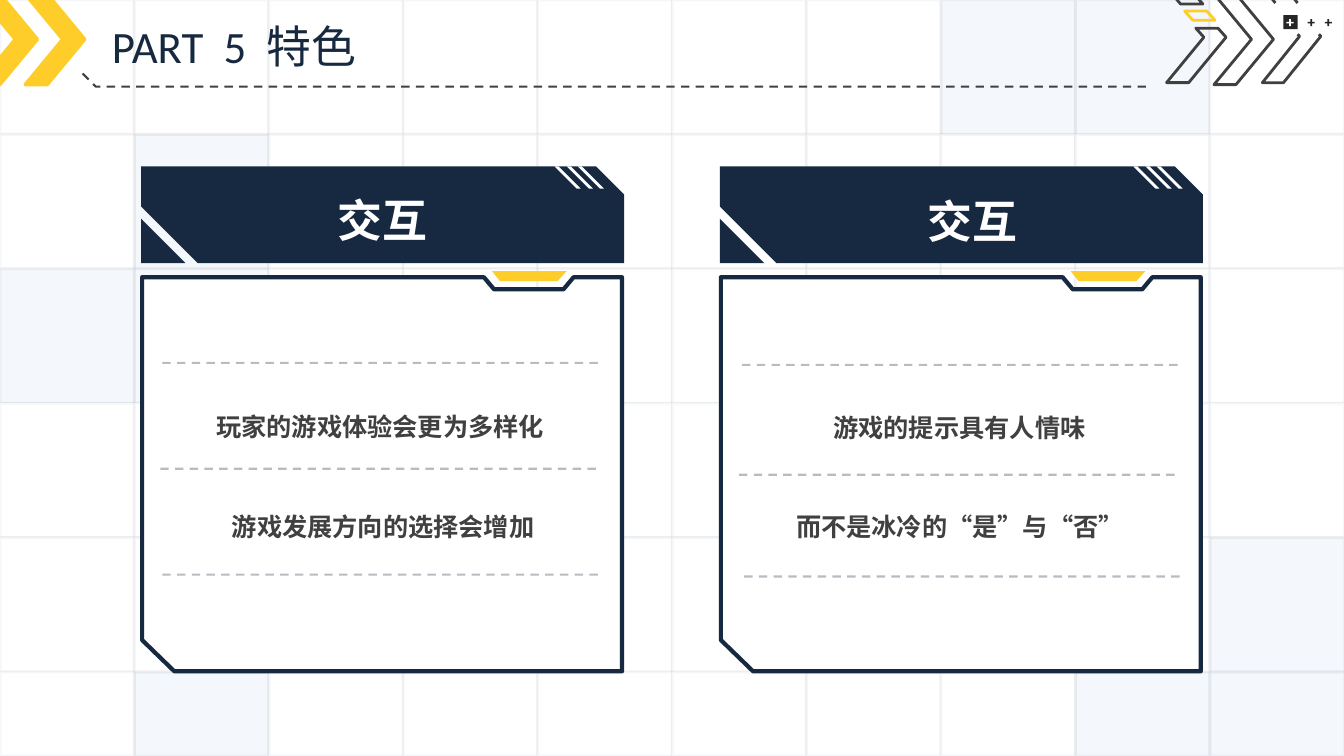
from dataclasses import dataclass

from lxml import etree
from pptx import Presentation
from pptx.dml.color import RGBColor
from pptx.enum import dml, shapes, text
from pptx.oxml import ns
from pptx.util import Inches, Pt

TITLE = "PART  5  特色"
# Each card: left edge, heading and its box, lines as (text, left, top, width), rules as (left, top)
CARDS = [
    {"left": 1.4, "heading": ("交互", 3.25, 1.86, 1.09),
     "lines": [("玩家的游戏体验会更为多样化", 1.37, 3.88, 4.8),
               ("游戏发展方向的选择会增加", 1.4, 4.87, 4.8)],
     "rules": [(1.61, 3.6), (1.59, 4.65), (1.61, 5.7)]},
    {"left": 7.14, "heading": ("交互", 9.1, 1.87, 1.09),
     "lines": [("游戏的提示具有人情味", 7.14, 3.89, 4.75),
               ("而不是冰冷的“是”与“否”", 7.12, 4.87, 4.8)],
     "rules": [(7.36, 3.62), (7.33, 4.71), (7.38, 5.72)]},
]
RULE_WIDTH = 4.36

CELL = 4 / 3
COLUMNS, ROWS = 10, 6
TINTED_CELLS = {(0, 7), (0, 8), (1, 1), (2, 0), (2, 1), (4, 9), (5, 1), (5, 8), (5, 9)}

# Card outlines, x measured from the card's left edge
BANNER = [(0, 1.65), (4.51, 1.65), (4.79, 1.93), (4.79, 2.61), (0.56, 2.61), (0, 2.05)]
CORNER = [(0, 2.17), (0.44, 2.61), (0, 2.61)]
STRIPE = [(0, 1.65), (0.04, 1.65), (0.26, 1.87), (0.22, 1.87)]
STRIPE_LEFTS = (4.1, 4.22, 4.33)
TAB = [(3.48, 2.69), (4.22, 2.69), (4.13, 2.79), (3.56, 2.79)]
FRAME = [(0.01, 2.75), (3.4, 2.75), (3.5, 2.87), (4.19, 2.87), (4.29, 2.75),
         (4.77, 2.75), (4.77, 6.66), (0.33, 6.66), (0.01, 6.35)]

# Header ornaments
TITLE_RULE = [(0.82, 0.73), (0.95, 0.86), (11.39, 0.86)]
YELLOW_CHIP = [(11.75, 0.11), (11.97, 0.11), (12.05, 0.2), (11.83, 0.2)]
GREY_CLOSED = [
    [(11.59, -0.1), (11.81, -0.1), (11.93, 0.04), (11.71, 0.04)],
    [(11.86, 0.28), (12.08, 0.28), (12.16, 0.37), (11.79, 0.82), (11.57, 0.82), (11.94, 0.37)],
]
GREY_OPEN = [
    [(12.65, 0.03), (12.53, -0.12), (12.75, -0.12), (12.87, 0.03)],
    [(13.08, 0.34), (13.1, 0.36), (12.73, 0.82), (12.52, 0.82), (12.89, 0.36), (12.87, 0.34)],
]


@dataclass(frozen=True)
class Theme:
    navy: str = "162941"
    ink: str = "16293E"
    grey: str = "404040"
    dark: str = "262626"
    yellow: str = "FECD2A"
    tint: str = "E0E9F4"
    white: str = "FFFFFF"
    title_font: str = "Calibri"
    text_font: str = "Noto Sans CJK SC"
    heading_size: int = 32
    text_size: int = 18


theme = Theme()
deck = Presentation()
deck.slide_width, deck.slide_height = Inches(13.33), Inches(7.5)
page = deck.slides.add_slide(deck.slide_layouts[5])


def set_alpha(fill, percent):
    color = fill.fore_color._xFill.find(ns.qn("a:srgbClr"))
    etree.SubElement(color, ns.qn("a:alpha")).set("val", str(percent * 1000))


def style_line(line, color, weight, alpha=None, dashed=False):
    line.width = Pt(weight)
    line.fill.solid()
    line.fill.fore_color.rgb = RGBColor.from_string(color)
    if alpha:
        set_alpha(line.fill, alpha)
    if dashed:
        line.dash_style = dml.MSO_LINE.DASH


def style(shape, fill=None, line=None, weight=2, fill_alpha=None, line_alpha=None, dashed=False):
    shape.shadow.inherit = False
    if fill:
        shape.fill.solid()
        shape.fill.fore_color.rgb = RGBColor.from_string(fill)
        if fill_alpha:
            set_alpha(shape.fill, fill_alpha)
    else:
        shape.fill.background()
    if line:
        style_line(shape.line, line, weight, line_alpha, dashed)
    else:
        shape.line.fill.background()


def add_preset(kind, left, top, width, height, adjust=None, **look):
    shape = page.shapes.add_shape(kind, Inches(left), Inches(top), Inches(width), Inches(height))
    if adjust:
        shape.adjustments[0] = adjust
    style(shape, **look)


def add_outline(contours, left=0, close=True, **look):
    """Draw one freeform from contours whose x counts from left."""
    builder = None
    for contour in contours:
        points = [(Inches(left + x), Inches(y)) for x, y in contour]
        if builder is None:
            builder = page.shapes.build_freeform(*points[0], scale=1.0)
        else:
            builder.move_to(*points[0])
        builder.add_line_segments(points[1:], close=close)
    style(builder.convert_to_shape(), **look)


def write(frame, words, font, size, color, bold=False, spacing=None, align=None):
    frame.text = words
    para = frame.paragraphs[0]
    para.alignment = align
    if spacing:
        para.line_spacing = spacing
        para.space_before = Pt(0)
    para.font.name, para.font.size, para.font.bold = font, Pt(size), bold
    para.font.color.rgb = RGBColor.from_string(color)
    latin = para.font._element.find(ns.qn("a:latin"))
    east_asian = etree.Element(ns.qn("a:ea"), typeface=theme.text_font)
    latin.addnext(east_asian)


def add_text(words, left, top, width, height, size, color, wrap=True, spacing=None):
    box = page.shapes.add_textbox(Inches(left), Inches(top), Inches(width), Inches(height))
    box.text_frame.word_wrap = wrap
    write(box.text_frame, words, theme.text_font, size, color, True, spacing,
          text.PP_ALIGN.CENTER)


def add_grid():
    for row in range(ROWS):
        for column in range(COLUMNS):
            tinted = (row, column) in TINTED_CELLS
            add_preset(shapes.MSO_SHAPE.RECTANGLE, column * CELL, row * CELL, CELL,
                       min(CELL, 7.5 - row * CELL),
                       fill=theme.tint if tinted else theme.white,
                       fill_alpha=34 if tinted else None, line=theme.ink, line_alpha=3)


def add_header():
    for contour in GREY_CLOSED:
        add_outline([contour], line=theme.grey)
    add_outline([YELLOW_CHIP], line=theme.yellow)
    add_preset(shapes.MSO_SHAPE.CHEVRON, 12.04, -0.06, 0.59, 0.9, 0.631, line=theme.grey)
    for contour in GREY_OPEN:
        add_outline([contour], close=False, line=theme.grey)
    add_outline([TITLE_RULE], close=False, line=theme.grey, weight=1.5, dashed=True)
    add_preset(shapes.MSO_SHAPE.RECTANGLE, 12.73, 0.15, 0.14, 0.14, fill=theme.dark)
    for left, color in ((12.76, theme.white), (12.97, theme.dark), (13.14, theme.dark)):
        add_preset(shapes.MSO_SHAPE.CROSS, left, 0.19, 0.07, 0.07, 0.382, fill=color)
    for left in (-0.22, 0.25):
        add_preset(shapes.MSO_SHAPE.CHEVRON, left, -0.06, 0.59, 0.9, 0.631,
                   fill=theme.yellow, line=theme.yellow, weight=2.5)


def add_title():
    title = page.shapes.title
    title.left, title.top, title.width, title.height = map(Inches, (1.01, 0.02, 10.46, 0.75))
    title.text_frame.vertical_anchor = text.MSO_ANCHOR.MIDDLE
    write(title.text_frame, TITLE, theme.title_font, theme.heading_size, theme.ink,
          spacing=1.2, align=text.PP_ALIGN.LEFT)
    title._element.getparent().append(title._element)  # bring in front of the grid


def add_card(card):
    left = card["left"]
    add_outline([BANNER], left, fill=theme.navy)
    add_outline([CORNER], left, fill=theme.navy)
    add_outline([[(x + shift, y) for x, y in STRIPE] for shift in STRIPE_LEFTS], left,
                fill=theme.white)
    add_outline([TAB], left, fill=theme.yellow)
    add_outline([FRAME], left, fill=theme.white, line=theme.navy, weight=3)
    add_text(*card["heading"], 0.64, theme.heading_size, theme.white, wrap=False)
    for line in card["lines"]:
        add_text(*line, 0.55, theme.text_size, theme.grey, spacing=1.5)
    for x, y in card["rules"]:
        rule = page.shapes.add_connector(shapes.MSO_CONNECTOR.STRAIGHT, Inches(x), Inches(y),
                                         Inches(x + RULE_WIDTH), Inches(y))
        style_line(rule.line, theme.ink, 1.5, alpha=31, dashed=True)
        etree.SubElement(rule._element.spPr, ns.qn("a:effectLst"))


add_grid()
add_header()
add_title()
for card in CARDS:
    add_card(card)
deck.save("out.pptx")
